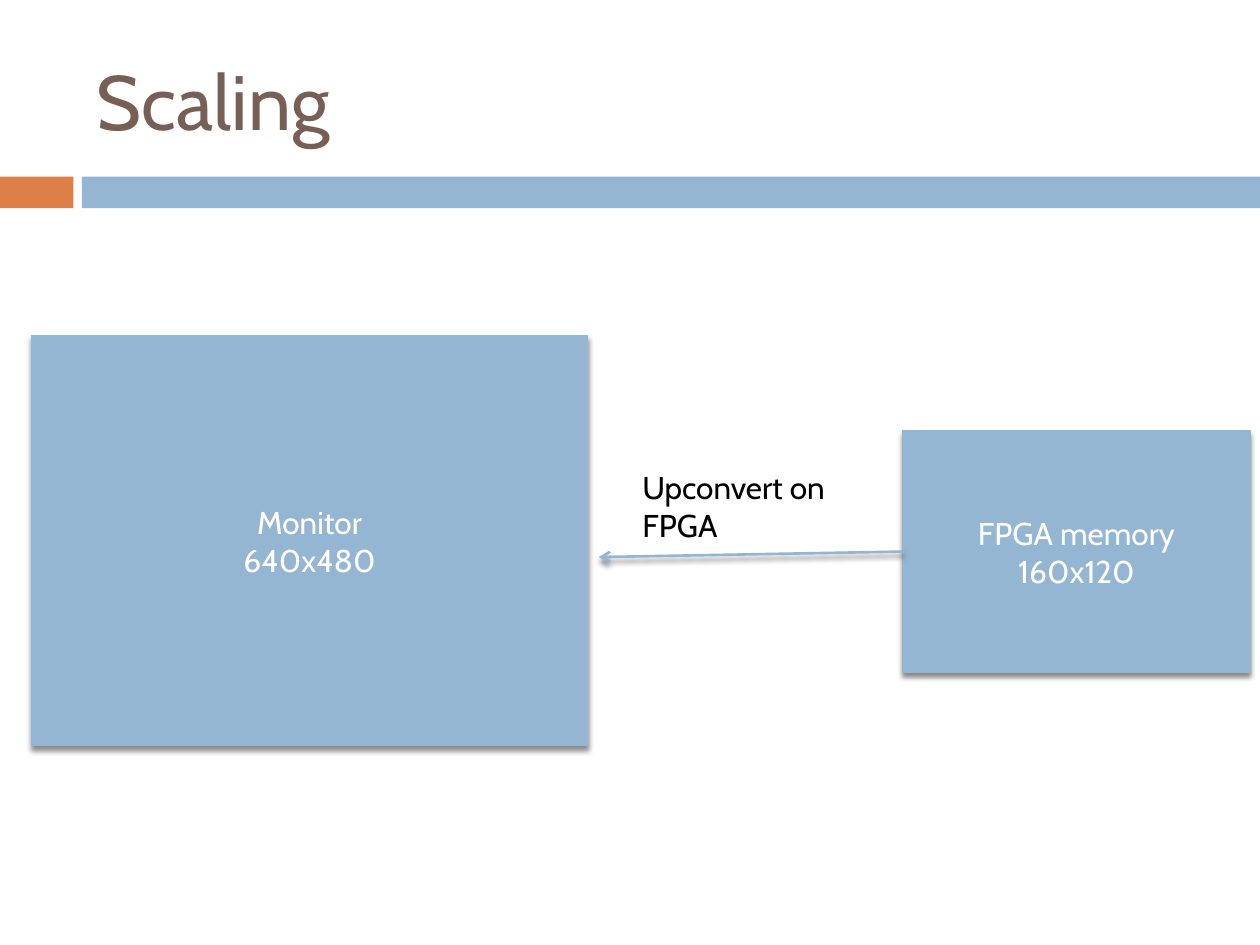
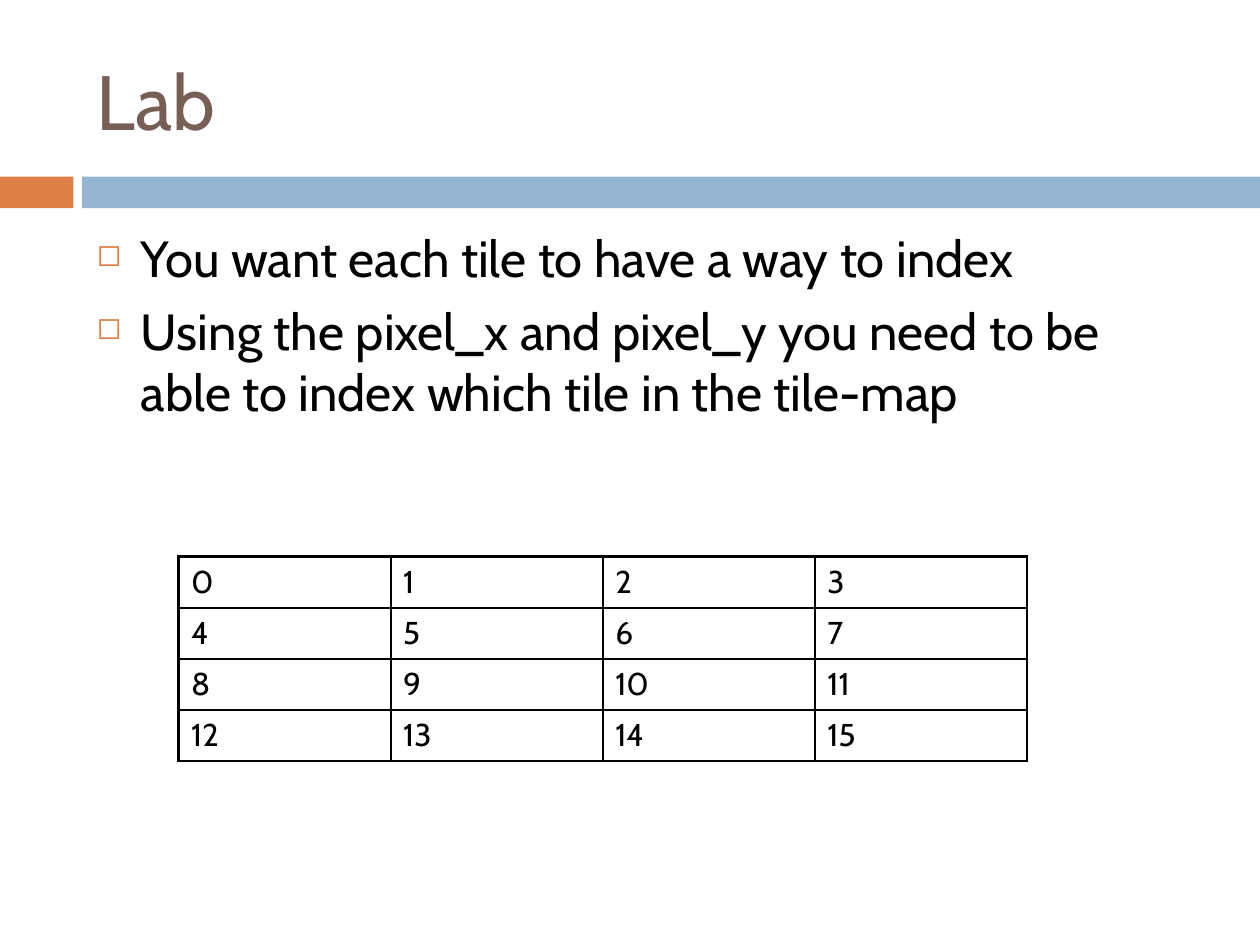
"""Build two slides on scaling and tile indexing for an FPGA display lab."""
from dataclasses import dataclass

from pptx import Presentation
from pptx.dml.color import RGBColor as Rgb
from pptx.enum.shapes import MSO_CONNECTOR as Link, MSO_SHAPE as Form
from pptx.enum.text import MSO_ANCHOR as Anchor, PP_ALIGN as Align
from pptx.oxml import parse_xml as make
from pptx.oxml.ns import nsdecls
from pptx.util import Cm, Pt


@dataclass(frozen=True)
class Theme:
    font: str = "Cabin"
    blue: str = "94B6D2"
    orange: str = "DD8047"
    brown: str = "775F55"
    black: str = "000000"
    white: str = "FFFFFF"
    title: int = 44
    body: int = 29
    small: int = 18


theme = Theme()
NS = nsdecls("a")


def write(frame, text, size, color, align=Align.LEFT):
    """Put text in a frame and format every run."""
    frame.text = text
    frame.word_wrap = True
    for para in frame.paragraphs:
        para.alignment = align
        for run in para.runs:
            run.font.name = theme.font
            run.font.size = Pt(size)
            run.font.color.rgb = Rgb.from_string(color)


def shade(item):
    """Give a shape or connector a soft shadow below it."""
    item._element.spPr.append(make(
        f'<a:effectLst {NS}><a:outerShdw blurRad="{Pt(3)}" dist="{Pt(2.4)}" '
        f'dir="5400000" rotWithShape="0"><a:srgbClr val="{theme.black}">'
        '<a:alpha val="45000"/></a:srgbClr></a:outerShdw></a:effectLst>'))


deck = Presentation()
deck.slide_width, deck.slide_height = Cm(25.4), Cm(19.05)

bands = [(0, 1.48, theme.orange), (1.65, 23.75, theme.blue)]
pages = []
for name in ("Scaling", "Lab"):
    page = deck.slides.add_slide(deck.slide_layouts[6])
    for left, width, color in bands:
        band = page.shapes.add_shape(
            Form.RECTANGLE, Cm(left), Cm(3.56), Cm(width), Cm(0.64))
        band.shadow.inherit = False
        band.fill.solid()
        band.fill.fore_color.rgb = Rgb.from_string(color)
        band.line.fill.background()
    title = page.shapes.add_textbox(Cm(1.7), Cm(0.64), Cm(22.65), Cm(2.75))
    title.text_frame.vertical_anchor = Anchor.MIDDLE
    write(title.text_frame, name, theme.title, theme.brown)
    pages.append(page)

scaling, lab = pages

screens = [
    ("Monitor\n640x480", 0.63, 6.77, 11.22, 8.26),
    ("FPGA memory\n160x120", 18.2, 8.68, 7, 4.88),
]
for text, *box in screens:
    screen = scaling.shapes.add_shape(Form.RECTANGLE, *map(Cm, box))
    screen.fill.solid()
    screen.fill.fore_color.rgb = Rgb.from_string(theme.blue)
    screen.line.color.rgb = Rgb.from_string(theme.blue)
    screen.line.width = Pt(0.8)
    screen.text_frame.vertical_anchor = Anchor.MIDDLE
    write(screen.text_frame, text, theme.small, theme.white, Align.CENTER)
    shade(screen)

arrow = scaling.shapes.add_connector(
    Link.STRAIGHT, Cm(18.2), Cm(11.12), Cm(12.07), Cm(11.23))
arrow.line.color.rgb = Rgb.from_string(theme.blue)
arrow.line.width = Pt(1.5)
arrow.line._get_or_add_ln().append(make(f'<a:tailEnd {NS} type="arrow"/>'))
shade(arrow)

label = scaling.shapes.add_textbox(Cm(12.7), Cm(9.31), Cm(4.87), Cm(1.8))
write(label.text_frame, "Upconvert on FPGA", theme.small, theme.black)

body = lab.shapes.add_textbox(Cm(1.7), Cm(4.45), Cm(22.65), Cm(12.5))
points = (
    "You want each tile to have a way to index",
    "Using the pixel_x and pixel_y you need to be able to index "
    "which tile in the tile-map",
)
write(body.text_frame, "\n".join(points), theme.body, theme.black)
for para in body.text_frame.paragraphs:
    para.space_before = Pt(7)
    props = para._p.get_or_add_pPr()
    props.set("marL", str(Cm(0.89)))
    props.set("indent", str(-Cm(0.89)))
    for mark in (
        f'<a:buClr {NS}><a:srgbClr val="{theme.orange}"/></a:buClr>',
        f'<a:buSzPct {NS} val="60000"/>',
        f'<a:buChar {NS} char="◻"/>',
    ):
        props.append(make(mark))

SIDE = 4
tiles = lab.shapes.add_table(
    SIDE, SIDE, Cm(3.6), Cm(11.22), Cm(17.1), Cm(1.03 * SIDE)).table
tiles.first_row = tiles.horz_banding = False
for index, cell in enumerate(tiles.iter_cells()):
    write(cell.text_frame, str(index), theme.small, theme.black)
    props = cell._tc.get_or_add_tcPr()
    for edge in "LRTB":
        props.append(make(
            f'<a:ln{edge} {NS} w="{Pt(1.5)}"><a:solidFill>'
            f'<a:srgbClr val="{theme.black}"/></a:solidFill></a:ln{edge}>'))
    cell.fill.background()

deck.save("out.pptx")
